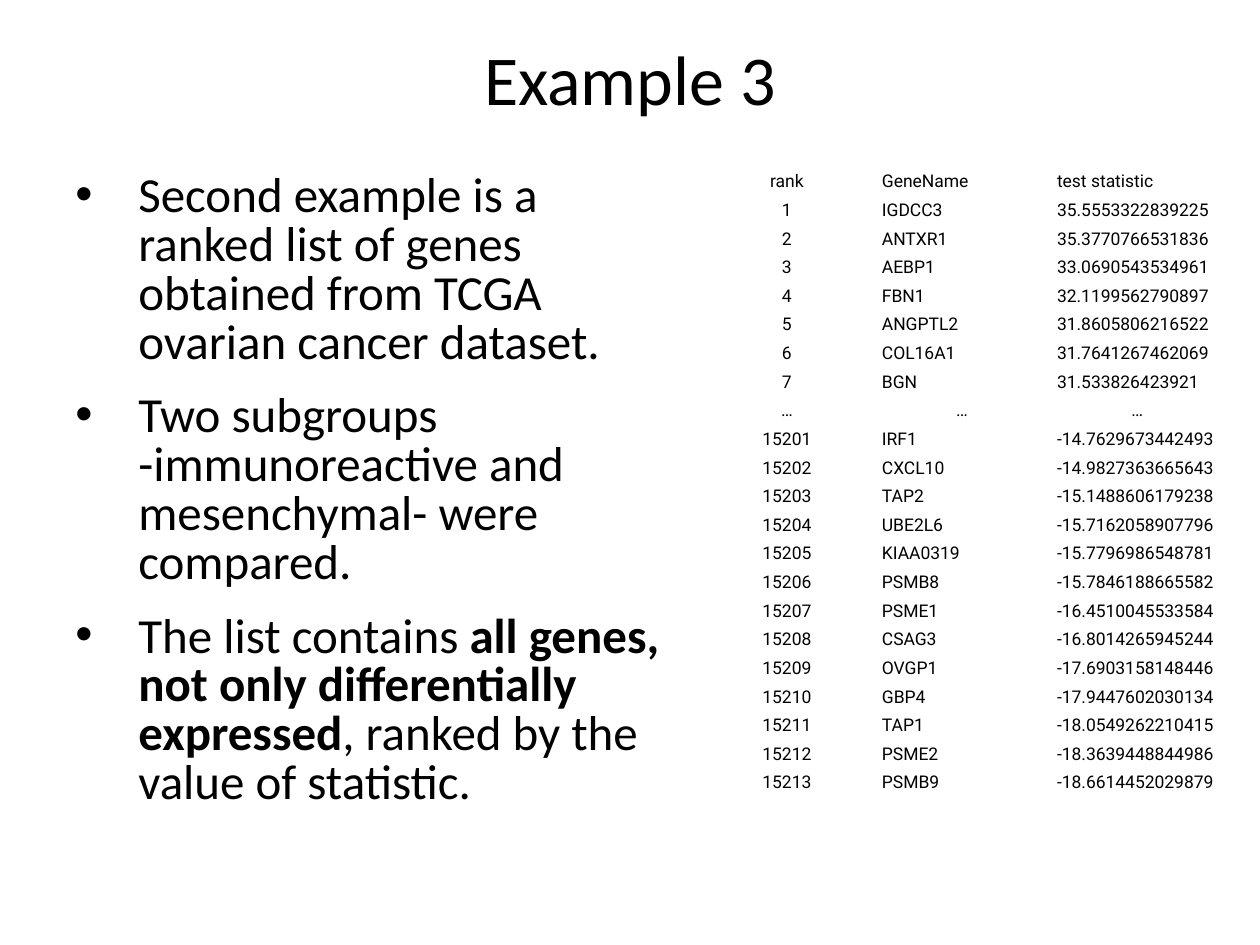
import pptx
import pptx.util
import pptx.dml.color
import pptx.enum.text
import pptx.oxml
import pptx.oxml.ns

Inches, Pt = pptx.util.Inches, pptx.util.Pt
PP_ALIGN = pptx.enum.text.PP_ALIGN
ANCHOR = pptx.enum.text.MSO_ANCHOR
COLORS = {"text": "000000", "background": "FFFFFF"}
TITLE_FONT = {"name": "Calibri", "size": Pt(40)}
BODY_FONT = {"name": "Calibri", "size": Pt(28)}
TABLE_FONT = {"name": "Roboto", "size": Pt(10)}


def set_attrs(obj, values):
    for name, value in values.items():
        setattr(obj, name, value)


def add_run(p, text, font, bold=False):
    r = p.add_run()
    r.text = text
    set_attrs(r.font, {**font, "bold": bold})
    r.font.color.rgb = pptx.dml.color.RGBColor.from_string(COLORS["text"])


prs = pptx.Presentation()
set_attrs(prs, {"slide_width": Inches(10), "slide_height": Inches(7.5)})
s = prs.slides.add_slide(prs.slide_layouts[5])
s.background.fill.solid()
s.background.fill.fore_color.rgb = pptx.dml.color.RGBColor.from_string(COLORS["background"])

sp = s.shapes.title
set_attrs(sp, {"left": Inches(0.5), "top": Inches(0.3), "width": Inches(9), "height": Inches(0.7)})
tf = sp.text_frame
set_attrs(tf, {"auto_size": pptx.enum.text.MSO_AUTO_SIZE.NONE, "vertical_anchor": ANCHOR.MIDDLE})
p = tf.paragraphs[0]
set_attrs(p, {"alignment": PP_ALIGN.CENTER, "line_spacing": 0.93})
add_run(p, "Example 3", TITLE_FONT)

bullets = [
    [("Second example is a ranked list of genes obtained from TCGA ovarian cancer dataset.", False)],
    [("Two subgroups -immunoreactive and mesenchymal- were compared.", False)],
    [
        ("The list contains", False),
        (" all genes, not only differentially expressed", True),
        (", ranked by the value of statistic.", False),
    ],
]
bullet_xml = [
    f'<a:buClr %s><a:srgbClr val="{COLORS["text"]}"/></a:buClr>',
    '<a:buFont %s typeface="Arial"/>',
    '<a:buChar %s char="•"/>',
]
tf = s.shapes.add_textbox(Inches(0.5), Inches(1.33), Inches(4.89), Inches(5.36)).text_frame
tf.word_wrap = True
for i, runs in enumerate(bullets):
    p = tf.add_paragraph() if i else tf.paragraphs[0]
    set_attrs(p, {"line_spacing": 0.83, "space_before": Pt(14.2 if i else 0)})
    pPr = p._p.get_or_add_pPr()
    pPr.set("marL", str(Inches(0.5)))
    pPr.set("indent", str(-Inches(0.5)))
    for xml in bullet_xml:
        pPr.append(pptx.oxml.parse_xml(xml % pptx.oxml.ns.nsdecls("a")))
    for text, bold in runs:
        add_run(p, text, BODY_FONT, bold)

rows = [
    ("rank", "GeneName", "test statistic"),
    ("1", "IGDCC3", "35.5553322839225"),
    ("2", "ANTXR1", "35.3770766531836"),
    ("3", "AEBP1", "33.0690543534961"),
    ("4", "FBN1", "32.1199562790897"),
    ("5", "ANGPTL2", "31.8605806216522"),
    ("6", "COL16A1", "31.7641267462069"),
    ("7", "BGN", "31.533826423921"),
    ("…", "…", "…"),
    ("15201", "IRF1", "-14.7629673442493"),
    ("15202", "CXCL10", "-14.9827363665643"),
    ("15203", "TAP2", "-15.1488606179238"),
    ("15204", "UBE2L6", "-15.7162058907796"),
    ("15205", "KIAA0319", "-15.7796986548781"),
    ("15206", "PSMB8", "-15.7846188665582"),
    ("15207", "PSME1", "-16.4510045533584"),
    ("15208", "CSAG3", "-16.8014265945244"),
    ("15209", "OVGP1", "-17.6903158148446"),
    ("15210", "GBP4", "-17.9447602030134"),
    ("15211", "TAP1", "-18.0549262210415"),
    ("15212", "PSME2", "-18.3639448844986"),
    ("15213", "PSMB9", "-18.6614452029879"),
]
cell_format = {
    "vertical_anchor": ANCHOR.MIDDLE,
    "margin_left": Inches(0.06),
    "margin_right": Inches(0.06),
    "margin_top": Inches(0.03),
    "margin_bottom": Inches(0.03),
}
table = s.shapes.add_table(
    len(rows), 3, Inches(5.55), Inches(1.33), Inches(4.17), Inches(0.19) * len(rows)
).table
set_attrs(table, {"first_row": False, "horz_banding": False})
for i, row in enumerate(rows):
    for j, text in enumerate(row):
        cell = table.cell(i, j)
        set_attrs(cell, cell_format)
        cell.fill.background()
        p = cell.text_frame.paragraphs[0]
        p.alignment = PP_ALIGN.CENTER if j == 0 or text == "…" else PP_ALIGN.LEFT
        add_run(p, text, TABLE_FONT)

prs.save("out.pptx")
